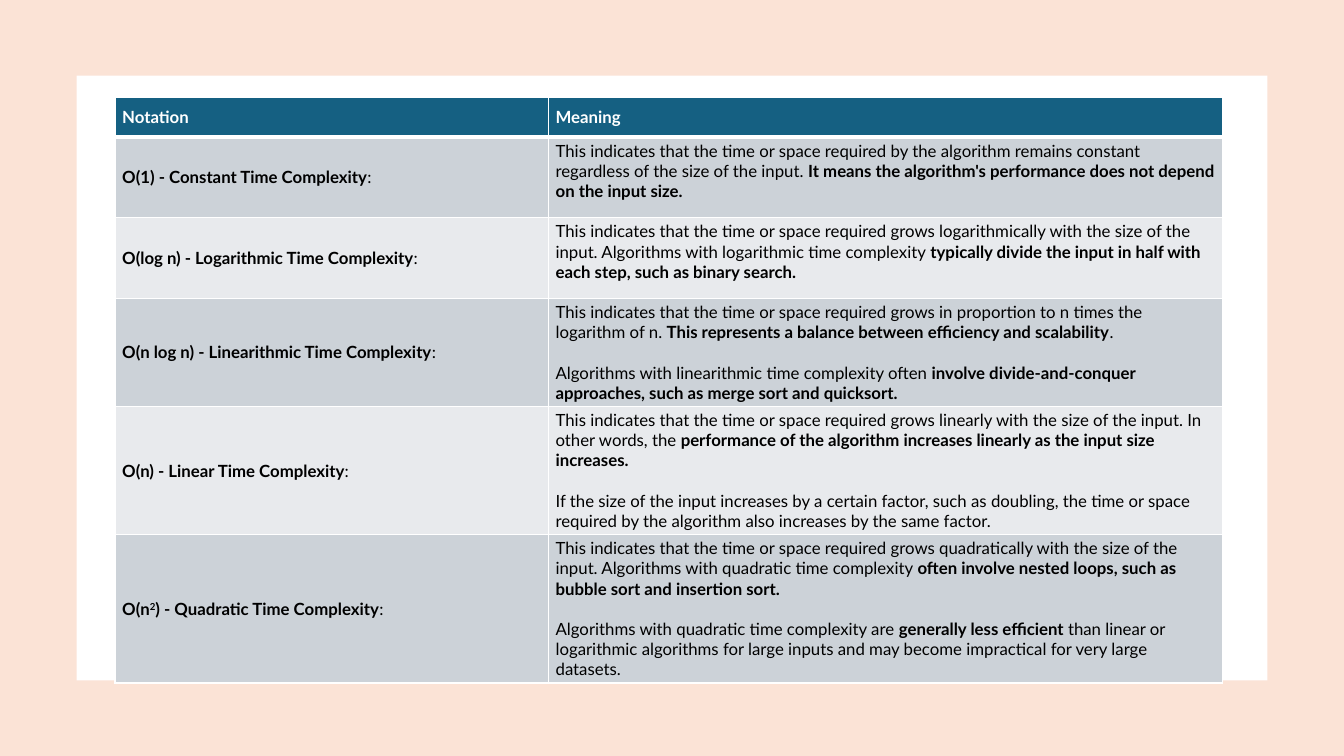
import pptx
import pptx.util
import pptx.dml.color
import pptx.enum.shapes
import pptx.enum.text
import pptx.oxml
import pptx.oxml.ns

Pt = pptx.util.Pt
RGBColor = pptx.dml.color.RGBColor

PEACH = RGBColor(0xFB, 0xE3, 0xD6)
WHITE = RGBColor(0xFF, 0xFF, 0xFF)
BLACK = RGBColor(0x00, 0x00, 0x00)
TEAL = RGBColor(0x15, 0x60, 0x82)
GREY = RGBColor(0xCC, 0xD2, 0xD8)
PALE = RGBColor(0xE8, 0xEA, 0xED)

WIDE, HIGH = 960, 540
COLS = [309.6, 481.4]
ROWS = [28.1, 57.6, 57.6, 57.6, 73.4, 73.4]

# Table text: "|" switches bold, "^" switches superscript
HEAD = ("|Notation|", ["|Meaning|"])
BODY = [
    ("|O(1) - Constant Time Complexity|:", [
        "This indicates that the time or space required by the algorithm remains "
        "constant regardless of the size of the input. |It means the algorithm's "
        "performance does not depend on the input size.|"]),
    ("|O(log n) - Logarithmic Time Complexity|:", [
        "This indicates that the time or space required grows logarithmically with "
        "the size of the input. Algorithms with logarithmic time complexity "
        "|typically divide the input in half with each step, such as binary search.|"]),
    ("|O(n log n) - Linearithmic Time Complexity|:", [
        "This indicates that the time or space required grows in proportion to n "
        "times the logarithm of n. |This represents a balance between efficiency "
        "and scalability|.",
        "Algorithms with linearithmic time complexity often| involve "
        "divide-and-conquer approaches, such as merge sort and quicksort.|"]),
    ("|O(n) - Linear Time Complexity|:", [
        "This indicates that the time or space required grows linearly with the "
        "size of the input. In other words, the |performance of the algorithm "
        "increases linearly as the input size increases.|",
        "If the size of the input increases by a certain factor, such as doubling, "
        "the time or space required by the algorithm also increases by the same "
        "factor."]),
    ("|O(n^2^) - Quadratic Time Complexity|:", [
        "This indicates that the time or space required grows quadratically with "
        "the size of the input. Algorithms with quadratic time complexity |often "
        "involve nested loops, such as bubble sort and insertion sort.|",
        "Algorithms with quadratic time complexity are |generally less efficient "
        "|than linear or logarithmic algorithms for large inputs and may become "
        "impractical for very large datasets."]),
]


class Deck:
    font = "Lato"
    size = 12
    gap = 14.4

    def __init__(self, slide):
        self.slide = slide

    def panel(self, left, top, width, height, fill):
        box = self.slide.shapes.add_shape(
            pptx.enum.shapes.MSO_SHAPE.RECTANGLE,
            Pt(left), Pt(top), Pt(width), Pt(height))
        box.shadow.inherit = False
        box.fill.solid()
        box.fill.fore_color.rgb = fill
        box.line.fill.background()

    def label(self, para, text, color):
        for i, part in enumerate(text.split("|")):
            for j, piece in enumerate(part.split("^")):
                if not piece:
                    continue
                run = para.add_run()
                run.text = piece
                run.font.name = self.font
                run.font.size = Pt(self.size)
                run.font.bold = i % 2 == 1
                run.font.color.rgb = color
                if j % 2:
                    run.font._element.set("baseline", "30000")

    def edge(self, cell, side, width):
        space = pptx.oxml.ns.nsdecls("a")
        line = pptx.oxml.parse_xml(
            f'<a:{side} {space} w="{Pt(width)}"><a:solidFill>'
            f'<a:srgbClr val="{WHITE}"/></a:solidFill></a:{side}>')
        cell._tc.get_or_add_tcPr().append(line)

    def cell(self, cell, texts, fill, color, middle, top, base):
        for side, width in (("lnL", 1), ("lnR", 1), ("lnT", top), ("lnB", base)):
            self.edge(cell, side, width)
        cell.fill.solid()
        cell.fill.fore_color.rgb = fill
        cell.margin_left = cell.margin_right = Pt(5.2)
        cell.margin_top = cell.margin_bottom = Pt(2.6)
        anchor = pptx.enum.text.MSO_ANCHOR
        cell.vertical_anchor = anchor.MIDDLE if middle else anchor.TOP
        frame = cell.text_frame
        for i, text in enumerate(texts):
            para = frame.add_paragraph() if i else frame.paragraphs[0]
            if i:
                para.space_before = Pt(self.gap)
            self.label(para, text, color)

    def table(self, left, top, cols, rows, data):
        grid = self.slide.shapes.add_table(
            len(rows), len(cols), Pt(left), Pt(top),
            Pt(sum(cols)), Pt(sum(rows))).table
        for col, width in zip(grid.columns, cols):
            col.width = Pt(width)
        for row, height in zip(grid.rows, rows):
            row.height = Pt(height)
        for i, (name, texts) in enumerate(data):
            fill = (GREY if i % 2 else PALE) if i else TEAL
            color = BLACK if i else WHITE
            upper = 3 if i == 1 else 1
            lower = 1 if i else 3
            self.cell(grid.cell(i, 0), [name], fill, color, True, upper, lower)
            self.cell(grid.cell(i, 1), texts, fill, color, i == 0, upper, lower)


def main():
    prs = pptx.Presentation()
    prs.slide_width, prs.slide_height = Pt(WIDE), Pt(HIGH)
    deck = Deck(prs.slides.add_slide(prs.slide_layouts[6]))

    # Backdrop and white panel
    deck.panel(0, 0, WIDE, HIGH, PEACH)
    deck.panel(54.7, 54, WIDE - 2 * 54.7, HIGH - 2 * 54, WHITE)

    # Complexity table
    deck.table(82.1, 69.8, COLS, ROWS, [HEAD] + BODY)

    prs.save("out.pptx")


if __name__ == "__main__":
    main()
